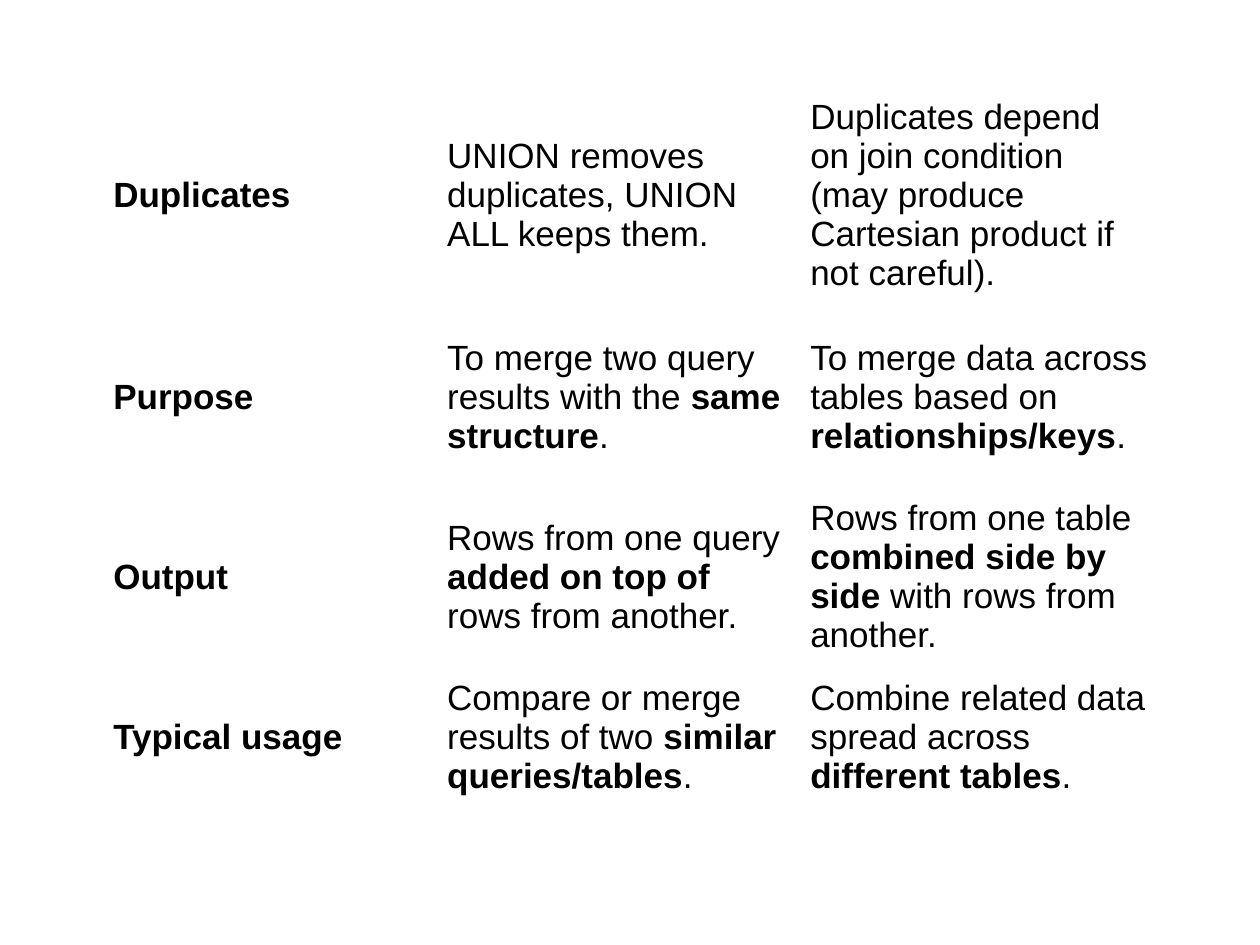
"""Build a slide that compares UNION with JOIN in a borderless table."""
from dataclasses import dataclass

from pptx import Presentation
from pptx.dml.color import RGBColor
from pptx.enum.text import MSO_ANCHOR as Anchor
from pptx.util import Cm, Pt

BLACK = RGBColor(0, 0, 0)
FONT = "Arial"
TEXT_SIZE = Pt(20)
COLUMN_WIDTHS = (6.73, 7.32, 7.32)


@dataclass(frozen=True)
class Span:
    text: str
    bold: bool = False


@dataclass(frozen=True)
class Comparison:
    aspect: str
    union: tuple[Span, ...]
    join: tuple[Span, ...]
    height: float


COMPARISONS = (
    Comparison(
        "Duplicates",
        (Span("UNION removes duplicates, UNION ALL keeps them."),),
        (Span("Duplicates depend on join condition "
              "(may produce Cartesian product if not careful)."),),
        4.47,
    ),
    Comparison(
        "Purpose",
        (Span("To merge two query results with the "),
         Span("same structure", True), Span(".")),
        (Span("To merge data across tables based on "),
         Span("relationships/keys", True), Span(".")),
        3.66,
    ),
    Comparison(
        "Output",
        (Span("Rows from one query "), Span("added on top of", True),
         Span(" rows from another.")),
        (Span("Rows from one table "), Span("combined side by side", True),
         Span(" with rows from another.")),
        3.61,
    ),
    Comparison(
        "Typical usage",
        (Span("Compare or merge results of two "),
         Span("similar queries/tables", True), Span(".")),
        (Span("Combine related data spread across "),
         Span("different tables", True), Span(".")),
        2.84,
    ),
)


def fill_cell(cell, spans: tuple[Span, ...]) -> None:
    cell.fill.background()
    cell.vertical_anchor = Anchor.MIDDLE
    para = cell.text_frame.paragraphs[0]
    for span in spans:
        run = para.add_run()
        run.text = span.text
        run.font.name = FONT
        run.font.size = TEXT_SIZE
        run.font.bold = span.bold
        run.font.color.rgb = BLACK


def add_comparison_table(page, comparisons: tuple[Comparison, ...]) -> None:
    height = sum(item.height for item in comparisons)
    table = page.shapes.add_table(
        len(comparisons), len(COLUMN_WIDTHS),
        Cm(2.03), Cm(1.7), Cm(sum(COLUMN_WIDTHS)), Cm(height),
    ).table
    table.first_row = False
    table.horz_banding = False
    for column, width in zip(table.columns, COLUMN_WIDTHS):
        column.width = Cm(width)
    for row, item in zip(table.rows, comparisons):
        row.height = Cm(item.height)
        contents = ((Span(item.aspect, True),), item.union, item.join)
        for cell, spans in zip(row.cells, contents):
            fill_cell(cell, spans)


def main() -> None:
    deck = Presentation()
    deck.slide_width, deck.slide_height = Cm(25.4), Cm(19.05)
    page = deck.slides.add_slide(deck.slide_layouts[6])
    add_comparison_table(page, COMPARISONS)
    deck.save("out.pptx")


if __name__ == "__main__":
    main()
